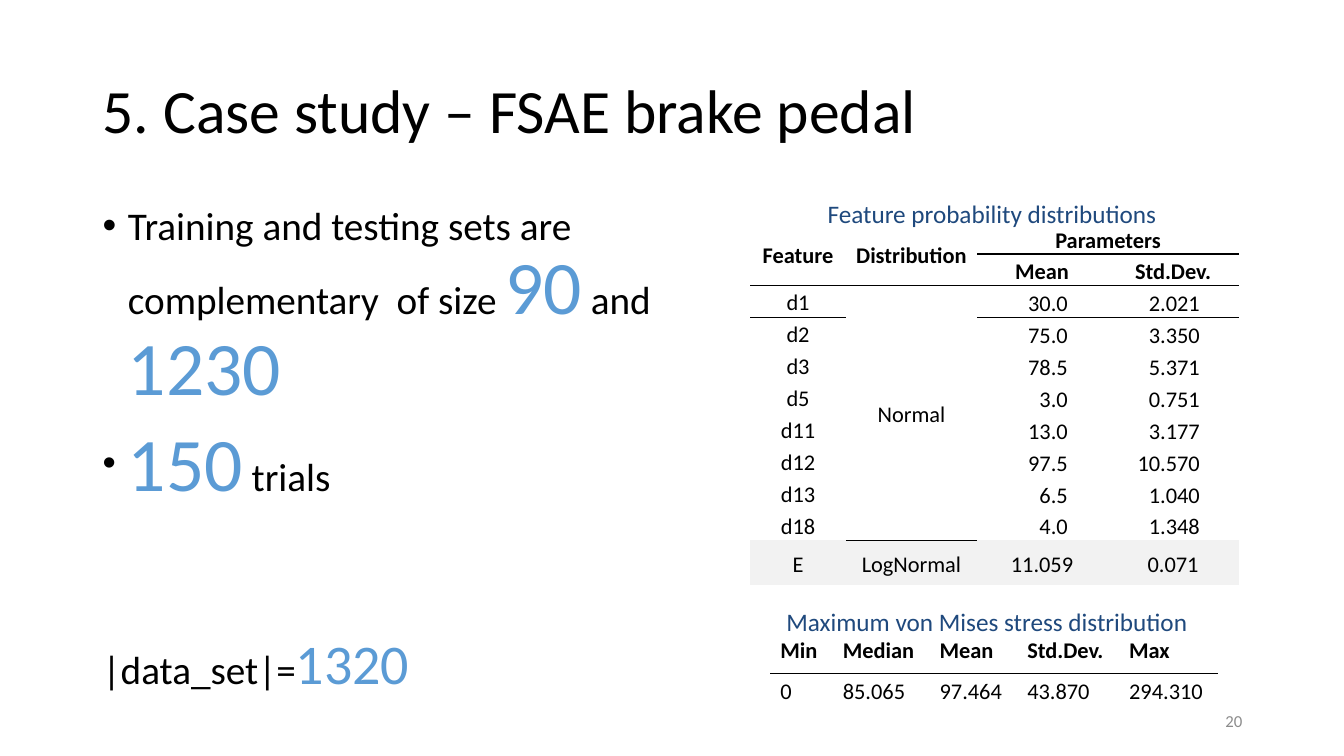
from dataclasses import dataclass

from lxml import etree
from pptx import Presentation
from pptx.dml.color import RGBColor
from pptx.enum.text import MSO_ANCHOR, PP_ALIGN
from pptx.oxml.ns import qn
from pptx.util import Inches, Pt

LEFT, CENTER, RIGHT = PP_ALIGN.LEFT, PP_ALIGN.CENTER, PP_ALIGN.RIGHT
TOP, MIDDLE, BOTTOM = MSO_ANCHOR.TOP, MSO_ANCHOR.MIDDLE, MSO_ANCHOR.BOTTOM
PLAIN_TABLE_STYLE = "{2D5ABB26-0587-4C30-8999-92F81FD0307C}"
BLANK_LAYOUT = 6


@dataclass(frozen=True)
class Theme:
    font: str = "Calibri"
    black: str = "000000"
    highlight: str = "5B9BD5"
    caption: str = "1F497D"
    number: str = "8C8C8C"
    band: str = "F2F2F2"
    title_size: int = 44
    body_size: int = 28
    big_size: int = 54
    total_size: int = 40
    caption_size: int = 18
    table_size: int = 16
    number_size: int = 12


THEME = Theme()
BODY = {"size": THEME.body_size}
BIG = {"size": THEME.big_size, "color": THEME.highlight}
TOTAL = {"size": THEME.total_size, "color": THEME.highlight}
CAPTION = {"size": THEME.caption_size, "color": THEME.caption}

FEATURE_ROWS = [
    ["Feature", "Distribution", "Parameters", ""],
    ["", "", "Mean", "Std.Dev."],
    ["d1", "Normal", "30.0", "2.021"],
    ["d2", "", "75.0", "3.350"],
    ["d3", "", "78.5", "5.371"],
    ["d5", "", "3.0", "0.751"],
    ["d11", "", "13.0", "3.177"],
    ["d12", "", "97.5", "10.570"],
    ["d13", "", "6.5", "1.040"],
    ["d18", "", "4.0", "1.348"],
    ["E", "LogNormal", "11.059", "0.071"],
]
FEATURE_MERGES = [((0, 0), (1, 0)), ((0, 1), (1, 1)), ((0, 2), (0, 3)), ((2, 1), (9, 1))]
STRESS_ROWS = [
    ["Min", "Median", "Mean", "Std.Dev.", "Max"],
    ["0", "85.065", "97.464", "43.870", "294.310"],
]


def add_text(paragraph, text, size, color=THEME.black, bold=False):
    run = paragraph.add_run()
    run.text = text
    run.font.name = THEME.font
    run.font.size = Pt(size)
    run.font.bold = bold
    run.font.color.rgb = RGBColor.from_string(color)


def add_bullet(paragraph, percent=100):
    """Give the paragraph a black hanging bullet, sized relative to its text."""
    properties = paragraph._p.get_or_add_pPr()
    properties.set("marL", str(Inches(0.25)))
    properties.set("indent", str(-Inches(0.25)))
    color = etree.SubElement(properties, qn("a:buClr"))
    etree.SubElement(color, qn("a:srgbClr"), val=THEME.black)
    etree.SubElement(properties, qn("a:buSzPct"), val=str(percent * 1000))
    etree.SubElement(properties, qn("a:buFont"), typeface="Arial")
    etree.SubElement(properties, qn("a:buChar"), char="•")


def add_border(cell, side):
    """Draw a 1 pt rule on side T or B; T must come before B."""
    line = etree.SubElement(cell._tc.get_or_add_tcPr(), qn(f"a:ln{side}"), w=str(Pt(1)))
    fill = etree.SubElement(line, qn("a:solidFill"))
    etree.SubElement(fill, qn("a:srgbClr"), val=THEME.black)


class SlideBuilder:
    def __init__(self, slide, theme):
        self.slide = slide
        self.theme = theme

    def text_box(self, left, top, width, height, anchor=MIDDLE, wrap=True):
        box = self.slide.shapes.add_textbox(
            Inches(left), Inches(top), Inches(width), Inches(height))
        frame = box.text_frame
        frame.word_wrap = wrap
        frame.vertical_anchor = anchor
        return frame

    def label(self, text, place, align=LEFT, line_spacing=None, wrap=True, **text_format):
        paragraph = self.text_box(*place, wrap=wrap).paragraphs[0]
        paragraph.alignment = align
        paragraph.line_spacing = line_spacing
        add_text(paragraph, text, **text_format)

    def body(self, place, items):
        """Write items of (space before, bullet percent or None, runs)."""
        frame = self.text_box(*place, anchor=TOP)
        for index, (space, bullet, runs) in enumerate(items):
            paragraph = frame.add_paragraph() if index else frame.paragraphs[0]
            paragraph.line_spacing = 0.9
            paragraph.space_before = Pt(space)
            if bullet:
                add_bullet(paragraph, bullet)
            for text, text_format in runs:
                add_text(paragraph, text, **text_format)

    def table(self, left, top, height, widths, heights):
        frame = self.slide.shapes.add_table(
            len(heights), len(widths), Inches(left), Inches(top),
            Inches(sum(widths)), Inches(height))
        table = frame.table
        table.first_row = table.horz_banding = False
        table._tbl.tblPr.find(qn("a:tableStyleId")).text = PLAIN_TABLE_STYLE
        for column, width in zip(table.columns, widths):
            column.width = Inches(width)
        for row, row_height in zip(table.rows, heights):
            row.height = Inches(row_height)
        frame.height = Inches(height)
        return table

    def cell(self, cell, text, align=LEFT, anchor=TOP, margins=(0.1, 0.05, 0.1, 0.05),
             line_spacing=None, borders="", fill=None, bold=False):
        cell.margin_left, cell.margin_top, cell.margin_right, cell.margin_bottom = map(
            Inches, margins)
        cell.vertical_anchor = anchor
        for side in borders:
            add_border(cell, side)
        if fill:
            cell.fill.solid()
            cell.fill.fore_color.rgb = RGBColor.from_string(fill)
        else:
            cell.fill.background()
        paragraph = cell.text_frame.paragraphs[0]
        paragraph.alignment = align
        paragraph.line_spacing = line_spacing
        add_text(paragraph, text, self.theme.table_size, bold=bold)

    def feature_table(self):
        table = self.table(7.44, 2.21, 3.36, [0.95, 1.3, 1.29, 1.31],
                           [0.31] * 2 + [0.22] * 8 + [0.44])
        for first, last in FEATURE_MERGES:
            table.cell(*first).merge(table.cell(*last))
        last_row = len(FEATURE_ROWS) - 1
        row_borders = {0: "B", 1: "TB", 2: "TB"}
        for row, texts in enumerate(FEATURE_ROWS):
            for column, text in enumerate(texts):
                cell = table.cell(row, column)
                if cell.is_spanned:
                    continue
                layout = {"align": CENTER, "anchor": MIDDLE, "margins": (0.07, 0, 0.07, 0)}
                if column >= 2 and row < 2:
                    layout["anchor"] = TOP
                elif column >= 2 and row < last_row:
                    layout = {"align": RIGHT, "anchor": BOTTOM,
                              "margins": (0.01, 0.01, 0.39, 0)}
                self.cell(cell, text, line_spacing=1.15, bold=row < 2,
                          borders=row_borders.get(row, ""),
                          fill=self.theme.band if row == last_row else None, **layout)

    def stress_table(self):
        table = self.table(7.64, 6.27, 0.81, [0.62, 0.96, 0.87, 1.01, 0.98], [0.41] * 2)
        for row, texts in enumerate(STRESS_ROWS):
            for column, text in enumerate(texts):
                self.cell(table.cell(row, column), text, bold=row == 0,
                          borders="B" if row == 0 else "")


def main():
    presentation = Presentation()
    presentation.slide_width = Inches(13.33)
    presentation.slide_height = Inches(7.5)
    slide = presentation.slides.add_slide(presentation.slide_layouts[BLANK_LAYOUT])
    builder = SlideBuilder(slide, THEME)

    builder.label("5. Case study – FSAE brake pedal", (0.92, 0.4, 11.5, 1.45),
                  line_spacing=0.9, size=THEME.title_size)
    builder.body((0.92, 2, 6.52, 5.17), [
        (0, 100, [("Training and testing sets are complementary  of size ", BODY),
                  ("90", BIG), (" and ", BODY), ("1230", BIG)]),
        (10, 50, [("150", BIG), (" trials", BODY)]),
        (91.5, None, [("|data_set|=", BODY), ("1320", TOTAL)]),
    ])
    builder.feature_table()
    builder.label("Feature probability distributions", (8.11, 1.92, 3.5, 0.4),
                  wrap=False, **CAPTION)
    builder.label("20", (9.42, 6.95, 3, 0.4), align=RIGHT,
                  size=THEME.number_size, color=THEME.number)
    builder.stress_table()
    builder.label("Maximum von Mises stress distribution", (7.7, 5.97, 4.32, 0.4),
                  wrap=False, **CAPTION)
    presentation.save("out.pptx")


if __name__ == "__main__":
    main()
